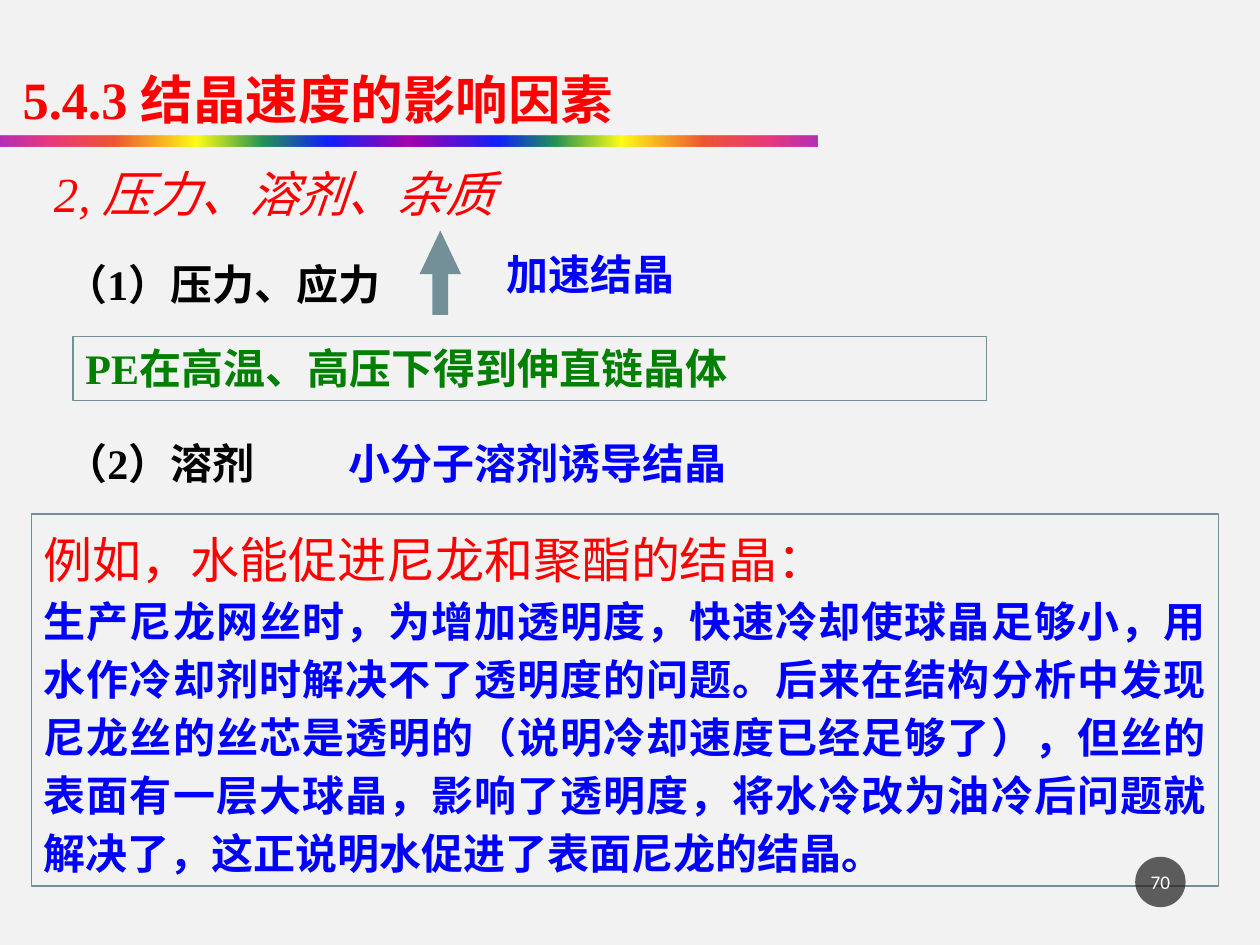
from lxml import etree
from pptx import Presentation
from pptx.dml.color import RGBColor
from pptx.enum.shapes import MSO_SHAPE as Shape
from pptx.enum.text import MSO_ANCHOR as Anchor, MSO_AUTO_SIZE as AutoSize, PP_ALIGN as Align
from pptx.oxml.ns import qn
from pptx.util import Inches, Pt

COLORS = {
    "background": "F2F2F2", "red": "FF0000", "blue": "0000FF", "green": "008000",
    "black": "000000", "white": "FFFFFF", "slate": "738F97", "badge": "1D1D1D",
}
LATIN, CHINESE = "Times New Roman", "Noto Sans CJK SC"

TITLE = "5.4.3 结晶速度的影响因素"
# text, box (left, top, width, height), format
LABELS = [
    ("2, 压力、溶剂、杂质", (0.33, 1.25, 5.42, 0.57),
     dict(size=28, color="red", bold=False, italic=True)),
    ("（1）压力、应力", (0.42, 2, 3.17, 0.5), dict(color="black")),
    ("加速结晶", (3.92, 1.92, 1.81, 0.5), dict(color="blue")),
    ("（2）溶剂", (0.42, 3.42, 2.5, 0.5), dict(color="black")),
    ("小分子溶剂诱导结晶", (2.67, 3.42, 5.25, 0.5), dict(color="blue")),
]
PRESSURE_NOTE = "PE在高温、高压下得到伸直链晶体"
EXAMPLE_HEADING = "例如，水能促进尼龙和聚酯的结晶："
EXAMPLE = (
    "生产尼龙网丝时，为增加透明度，快速冷却使球晶足够小，用水作冷却剂时解决不了透明度的问题。"
    "后来在结构分析中发现尼龙丝的丝芯是透明的（说明冷却速度已经足够了），但丝的表面有一层大球晶，"
    "影响了透明度，将水冷改为油冷后问题就解决了，这正说明水促进了表面尼龙的结晶。"
)
PAGE_NUMBER = "70"

# position %, colour, opacity %
RAINBOW = [
    (0, "A603AB", 82), (6, "E81766", 84), (14, "EE3F17", 87), (24, "FFFF00", 91),
    (32, "1A8D48", 94), (40, "0819FB", 96), (50, "A603AB", 100), (61, "0819FB", 96),
    (68, "1A8D48", 94), (76, "FFFF00", 91), (86, "EE3F17", 87), (94, "E81766", 84),
    (100, "A603AB", 82),
]


def rgb(name):
    return RGBColor.from_string(COLORS[name])


def set_opacity(color_element, percent):
    etree.SubElement(color_element, qn("a:alpha"), val=str(percent * 1000))


def write(paragraph, text, size=24, color="blue", bold=True, italic=False,
          latin=LATIN, align=Align.LEFT, line_spacing=1.0):
    paragraph.alignment = align
    paragraph.line_spacing = line_spacing
    paragraph.space_before = Pt(0)
    run = paragraph.add_run()
    run.text = text
    font = run.font
    font.size, font.bold, font.italic, font.name = Pt(size), bold, italic, latin
    font.color.rgb = rgb(color)
    etree.SubElement(font._element, qn("a:ea"), typeface=CHINESE)


def prepare_frame(shape, anchor=Anchor.TOP):
    frame = shape.text_frame
    frame.word_wrap = True
    frame.auto_size = AutoSize.NONE
    frame.vertical_anchor = anchor
    return frame


def add_shape(slide, kind, box, fill=None, line=None):
    shape = slide.shapes.add_shape(kind, *map(Inches, box))
    shape.shadow.inherit = False
    if fill:
        shape.fill.solid()
        shape.fill.fore_color.rgb = rgb(fill)
    else:
        shape.fill.background()
    if line:
        shape.line.color.rgb = rgb(line)
        shape.line.width = Pt(1)
    else:
        shape.line.fill.background()
    return shape


def add_rainbow_bar(slide, box):
    bar = add_shape(slide, Shape.RECTANGLE, box)
    bar.fill.gradient()
    bar.fill.gradient_angle = 0
    stops = bar._element.spPr.find(qn("a:gradFill")).find(qn("a:gsLst"))
    for stop in list(stops):
        stops.remove(stop)
    for position, color, opacity in RAINBOW:
        stop = etree.SubElement(stops, qn("a:gs"), pos=str(position * 1000))
        set_opacity(etree.SubElement(stop, qn("a:srgbClr"), val=color), opacity)


def add_title(slide, box):
    title = slide.shapes.title
    title.left, title.top, title.width, title.height = map(Inches, box)
    write(prepare_frame(title).paragraphs[0], TITLE, size=30, color="red", line_spacing=1.3)


def add_example(slide, box):
    frame = prepare_frame(add_shape(slide, Shape.RECTANGLE, box, line="slate"))
    layout = dict(align=Align.JUSTIFY, line_spacing=1.15)
    write(frame.paragraphs[0], EXAMPLE_HEADING, size=28, color="red", bold=False,
          latin=CHINESE, **layout)
    write(frame.add_paragraph(), EXAMPLE, **layout)


def add_page_badge(slide, box):
    badge = add_shape(slide, Shape.OVAL, box, fill="badge")
    set_opacity(badge._element.spPr.find(qn("a:solidFill"))[0], 70)
    frame = prepare_frame(badge, Anchor.MIDDLE)
    frame.margin_left = frame.margin_right = Inches(0.02)
    write(frame.paragraphs[0], PAGE_NUMBER, size=11, color="white", bold=False,
          latin="Calibri", align=Align.CENTER)


def main():
    presentation = Presentation()
    presentation.slide_width, presentation.slide_height = Inches(10), Inches(7.5)
    slide = presentation.slides.add_slide(presentation.slide_layouts[5])
    slide.background.fill.solid()
    slide.background.fill.fore_color.rgb = rgb("background")

    add_title(slide, (0.08, 0.33, 6.92, 0.75))
    add_rainbow_bar(slide, (0, 1.08, 6.49, 0.08))
    for text, box, text_format in LABELS:
        label = slide.shapes.add_textbox(*map(Inches, box))
        write(prepare_frame(label).paragraphs[0], text, **text_format)

    arrow = add_shape(slide, Shape.UP_ARROW, (3.33, 1.83, 0.33, 0.67), fill="slate")
    arrow.adjustments[0], arrow.adjustments[1] = 0.38, 1.05

    note = add_shape(slide, Shape.RECTANGLE, (0.58, 2.67, 7.25, 0.51), line="slate")
    write(prepare_frame(note).paragraphs[0], PRESSURE_NOTE, color="green")
    add_example(slide, (0.25, 4.08, 9.42, 2.95))
    add_page_badge(slide, (9.01, 6.8, 0.4, 0.4))
    presentation.save("out.pptx")


if __name__ == "__main__":
    main()
